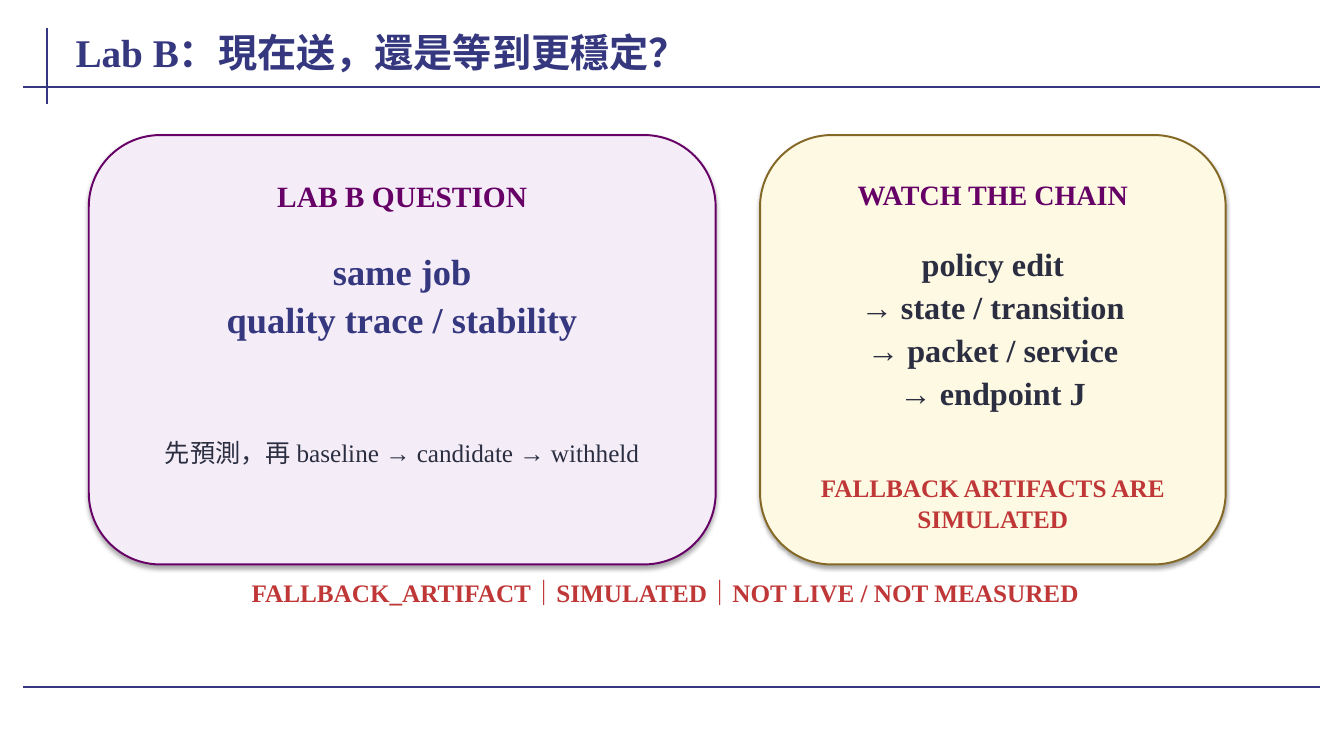
from lxml import etree
from pptx import Presentation
from pptx import util as u
from pptx.dml import color
from pptx.enum import shapes, text
from pptx.oxml import ns

THEME = {
    "font": "Times New Roman",
    "navy": "35377F", "purple": "660066", "ink": "2B2E41", "red": "C03737",
    "gold": "846826", "lilac": "F4EDF7", "cream": "FDF9E2", "black": "000000",
    "title": 28, "question": 26, "chain": 23, "heading": 21, "subheading": 20, "note": 18,
    "rule": 1.5, "border": 1.4,
}
CENTER = text.PP_ALIGN.CENTER
CARD_TOP, CARD_HEIGHT = 96.5, 306.7


def rgb(name):
    return color.RGBColor.from_string(THEME[name])


def add_text(area, lines, size, ink, bold=True, align=CENTER,
             anchor=text.MSO_ANCHOR.TOP, fit=text.MSO_AUTO_SIZE.SHAPE_TO_FIT_TEXT, spacing=1.04):
    box = page.shapes.add_textbox(*map(u.Pt, area))
    frame_format = {
        "word_wrap": True, "auto_size": fit, "vertical_anchor": anchor,
        "margin_left": u.Pt(5.8), "margin_right": u.Pt(5.8),
        "margin_top": u.Pt(2.2), "margin_bottom": u.Pt(1.4),
    }
    for key, value in frame_format.items():
        setattr(box.text_frame, key, value)
    box.text_frame.text = "\n".join(lines)
    font_format = {"name": THEME["font"], "size": u.Pt(THEME[size]), "bold": bold}
    para_format = {"alignment": align, "space_after": u.Pt(2), "line_spacing": spacing}
    for para in box.text_frame.paragraphs:
        for key, value in para_format.items():
            setattr(para, key, value)
        for span in para.runs:
            for key, value in font_format.items():
                setattr(span.font, key, value)
            span.font.color.rgb = rgb(ink)


deck = Presentation()
deck.slide_width, deck.slide_height = u.Pt(960), u.Pt(540)
page = deck.slides.add_slide(deck.slide_layouts[6])

rules = [
    (33.8, 20.2, 33.8, 74.2),
    (16.6, 61.9, 943.2, 61.9),
    (16.6, 491, 943.2, 491),
]
for ends in rules:
    rule = page.shapes.add_connector(shapes.MSO_CONNECTOR.STRAIGHT, *map(u.Pt, ends))
    rule.line.color.rgb = rgb("navy")
    rule.line.width = u.Pt(THEME["rule"])
    etree.SubElement(rule._element.spPr, ns.qn("a:effectLst"))

add_text((48.2, 13.7, 864, 45.4), ["Lab B：現在送，還是等到更穩定？"], "title", "navy",
         align=text.PP_ALIGN.LEFT, anchor=text.MSO_ANCHOR.MIDDLE,
         fit=text.MSO_AUTO_SIZE.NONE, spacing=1)

cards = [
    (63.4, 447.8, "lilac", "purple", [
        (23, 123.8, 24.5, ["LAB B QUESTION"], "heading", "purple", True),
        (21.6, 174.2, 93.6, ["same job", "quality trace / stability"], "question", "navy", True),
        (25.9, 309.6, 47.5, ["先預測，再 baseline → candidate → withheld"], "note", "ink", False),
    ]),
    (542.9, 332.6, "cream", "gold", [
        (21.6, 123.8, 24.5, ["WATCH THE CHAIN"], "subheading", "purple", True),
        (24.5, 171.4, 116.6, ["policy edit", "→ state / transition", "→ packet / service",
                              "→ endpoint J"], "chain", "ink", True),
        (25.9, 334.1, 30.2, ["FALLBACK ARTIFACTS ARE SIMULATED"], "note", "red", True),
    ]),
]
for left, width, fill, border, blocks in cards:
    card = page.shapes.add_shape(shapes.MSO_SHAPE.ROUNDED_RECTANGLE,
                                 *map(u.Pt, (left, CARD_TOP, width, CARD_HEIGHT)))
    card.fill.solid()
    card.fill.fore_color.rgb = rgb(fill)
    card.line.color.rgb = rgb(border)
    card.line.width = u.Pt(THEME["border"])
    card.shadow.inherit = False
    effects = card._element.spPr.find(ns.qn("a:effectLst"))
    shadow = etree.SubElement(effects, ns.qn("a:outerShdw"), blurRad=str(u.Pt(3.1)),
                              dist=str(u.Pt(1.8)), dir="5400000", rotWithShape="0")
    tint = etree.SubElement(shadow, ns.qn("a:srgbClr"), val=THEME["black"])
    etree.SubElement(tint, ns.qn("a:alpha"), val="35000")
    for inset, top, height, lines, size, ink, bold in blocks:
        add_text((left + inset, top, width - 2 * inset, height), lines, size, ink, bold)

add_text((66.2, 409, 817.9, 21.6), ["FALLBACK_ARTIFACT｜SIMULATED｜NOT LIVE / NOT MEASURED"],
         "note", "red")

deck.save("out.pptx")
